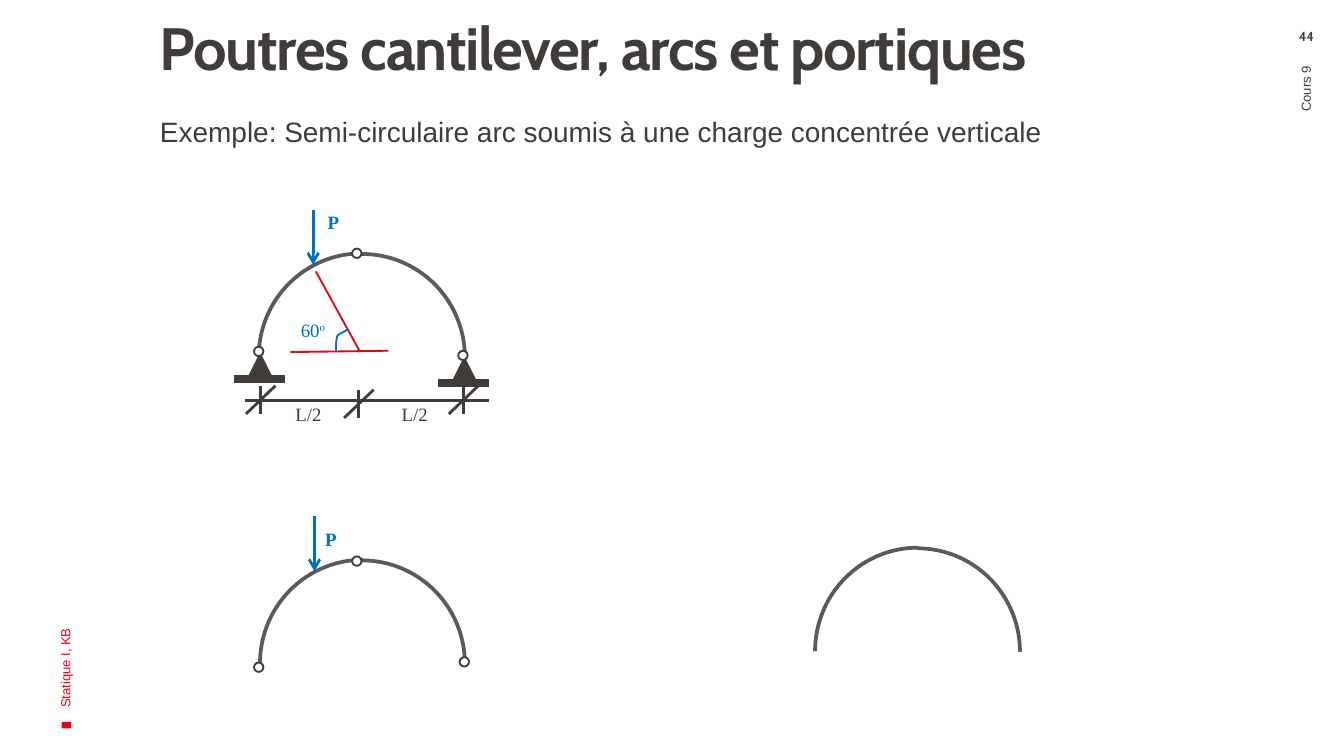
"""Build the slide on a semicircular three-hinged arch under a vertical point load."""
from dataclasses import dataclass

import pptx
import pptx.dml.color
import pptx.enum.shapes
import pptx.enum.text
import pptx.oxml
import pptx.oxml.ns
import pptx.util

Inches = pptx.util.Inches
Pt = pptx.util.Pt
RGBColor = pptx.dml.color.RGBColor
Shape = pptx.enum.shapes.MSO_SHAPE
Align = pptx.enum.text.PP_ALIGN
Anchor = pptx.enum.text.MSO_ANCHOR
qn = pptx.oxml.ns.qn

DARK = RGBColor(0x41, 0x3C, 0x3A)
ARCH = RGBColor(0x60, 0x58, 0x55)
RED = RGBColor(0xE3, 0x06, 0x13)
BLUE = RGBColor(0x00, 0x70, 0xC0)
WHITE = RGBColor(0xFF, 0xFF, 0xFF)
HINGE = 0.07
SUPPORT = 0.19
SERIF = "Times New Roman"


@dataclass(frozen=True)
class Label:
    text: str
    left: float
    top: float
    width: float
    height: float
    size: float
    font: str = "Arial"
    color: RGBColor = DARK
    bold: bool = False
    align: Align = Align.LEFT
    anchor: Anchor = Anchor.TOP
    rotation: int = 0
    insets: tuple[float, float, float, float] = (0.1, 0.05, 0.1, 0.05)
    line_spacing: float = 1.0
    tracking: int = 0
    wrap: bool = True
    superscript: str = ""


@dataclass(frozen=True)
class Line:
    start: tuple[float, float]
    end: tuple[float, float]
    color: RGBColor = DARK
    width: float = 1.5
    arrow: bool = False


def draw_label(page, label: Label) -> None:
    """Add a text box for a label."""
    box = page.shapes.add_textbox(*map(Inches, (label.left, label.top, label.width, label.height)))
    box.rotation = label.rotation
    frame = box.text_frame
    frame.word_wrap = label.wrap
    if not label.wrap:
        frame.auto_size = pptx.enum.text.MSO_AUTO_SIZE.SHAPE_TO_FIT_TEXT
    frame.vertical_anchor = label.anchor
    frame.margin_left, frame.margin_top, frame.margin_right, frame.margin_bottom = map(Inches, label.insets)
    para = frame.paragraphs[0]
    para.alignment = label.align
    para.line_spacing = label.line_spacing
    para.font.name = label.font
    para.font.size = Pt(label.size)
    para.font.bold = label.bold
    para.font.color.rgb = label.color
    if label.tracking:
        para._p.pPr.find(qn("a:defRPr")).set("spc", str(label.tracking))
    para.add_run().text = label.text
    if label.superscript:
        span = para.add_run()
        span.text = label.superscript
        span._r.get_or_add_rPr().set("baseline", "30000")


def draw_line(page, line: Line) -> None:
    """Add a straight line, with an arrowhead if asked."""
    connector = page.shapes.add_connector(
        pptx.enum.shapes.MSO_CONNECTOR.STRAIGHT, *map(Inches, (*line.start, *line.end)))
    connector.line.color.rgb = line.color
    connector.line.width = Pt(line.width)
    if line.arrow:
        tail = pptx.oxml.parse_xml(f'<a:tailEnd {pptx.oxml.ns.nsdecls("a")} type="arrow"/>')
        connector.line._get_or_add_ln().append(tail)
    connector._element.spPr.append(pptx.oxml.parse_xml(f'<a:effectLst {pptx.oxml.ns.nsdecls("a")}/>'))


def style_shape(shape, fill: RGBColor | None, line: RGBColor | None, width: float = 1) -> None:
    """Set the fill and outline of a shape."""
    shape.shadow.inherit = False
    if fill is None:
        shape.fill.background()
    else:
        shape.fill.solid()
        shape.fill.fore_color.rgb = fill
    if line is None:
        shape.line.fill.background()
    else:
        shape.line.color.rgb = line
        shape.line.width = Pt(width)


def draw_arch(page, left: float, top: float, shift: float = 0) -> None:
    """Add a semicircle made of two quarter arcs, the left one moved out by the shift."""
    for x, width, height, rotation in ((left, 1.53, 1.54, 0), (left - shift, 1.54, 1.53, 270)):
        arc = page.shapes.add_shape(Shape.ARC, *map(Inches, (x, top, width, height)))
        arc.rotation = rotation
        style_shape(arc, None, ARCH, 2)


def draw_hinge(page, left: float, top: float) -> None:
    """Add a hinge circle."""
    hinge = page.shapes.add_shape(Shape.OVAL, *map(Inches, (left, top, HINGE, HINGE)))
    style_shape(hinge, WHITE, DARK)


def draw_support(page, left: float, top: float) -> None:
    """Add a pinned support whose hinge starts at the given corner."""
    triangle = page.shapes.add_shape(
        Shape.ISOSCELES_TRIANGLE, *map(Inches, (left - 0.05, top + 0.04, SUPPORT, SUPPORT)))
    style_shape(triangle, DARK, None)
    draw_line(page, Line((left - 0.15, top + 0.24), (left + 0.23, top + 0.24), width=4))
    draw_hinge(page, left, top)


def draw_tick(page, x: float, top: float) -> None:
    """Add a dimension mark: an upright stroke and a slanted one."""
    draw_line(page, Line((x, top), (x, top + 0.21)))
    draw_line(page, Line((x - 0.11, top + 0.21), (x + 0.11, top)))


def draw_load(page, x: float, top: float, label_left: float, label_top: float) -> None:
    """Add the load P with its arrow."""
    draw_label(page, Label("P", label_left, label_top, 0.29, 0.27, 10.1, SERIF, BLUE, True, wrap=False))
    draw_line(page, Line((x, top), (x, top + 0.41), BLUE, arrow=True))


def curve_points(corners: list[tuple[float, float]], steps: int = 8) -> list[tuple[int, int]]:
    """Return points along a cubic curve, without its start."""
    points = []
    for step in range(1, steps + 1):
        t = step / steps
        weights = ((1 - t) ** 3, 3 * t * (1 - t) ** 2, 3 * t * t * (1 - t), t ** 3)
        points.append(tuple(Inches(sum(w * c[axis] for w, c in zip(weights, corners))) for axis in (0, 1)))
    return points


def draw_angle(page) -> None:
    """Add the mark of the 60 degree angle."""
    start, middle, end = (2.5, 2.61), (2.51, 2.5), (2.59, 2.45)
    builder = page.shapes.build_freeform(Inches(start[0]), Inches(start[1]))
    points = curve_points([start, (2.5, 2.57), (2.5, 2.53), middle])
    points += curve_points([middle, (2.53, 2.48), (2.56, 2.47), end])
    builder.add_line_segments(points, close=False)
    style_shape(builder.convert_to_shape(), None, BLUE)
    draw_label(page, Label("60", 2.14, 2.32, 0.39, 0.27, 10.1, SERIF, BLUE, wrap=False, superscript="o"))


PAGE_LABELS = (
    Label("Poutres cantilever, arcs et portiques", 0.99, 0.14, 7.67, 1.17, 32, "Cabin", bold=True,
          insets=(0.2, 0, 0.08, 0.05), line_spacing=0.9, tracking=-70),
    Label("Exemple: Semi-circulaire arc soumis à une charge concentrée verticale", 0.99, 0.83, 8.45, 3.7, 15,
          insets=(0.2, 0.05, 0.1, 0.05), line_spacing=0.9),
    Label("Statique I, KB", -1.34, 3.04, 3.65, 1, 7, color=RED, anchor=Anchor.MIDDLE, rotation=270),
    Label("44", 9.44, 0.21, 0.56, 0.18, 7, "Cabin", bold=True, align=Align.CENTER, insets=(0.1, 0, 0.1, 0)),
    Label("Cours 9", 7.78, 2.05, 3.87, 0.56, 7, align=Align.RIGHT, anchor=Anchor.MIDDLE, rotation=270),
)


def main() -> None:
    """Draw the page and save the deck."""
    deck = pptx.Presentation()
    deck.slide_width = Inches(10)
    deck.slide_height = deck.slide_width * 9 // 16
    page = deck.slides.add_slide(deck.slide_layouts[6])
    marker = page.shapes.add_shape(Shape.RECTANGLE, *map(Inches, (0.47, 5.36, 0.05, 0.07)))
    marker.rotation = 270
    style_shape(marker, RED, None)
    for label in PAGE_LABELS:
        draw_label(page, label)
    draw_arch(page, 1.93, 1.89, shift=0.01)
    for x, top in ((1.94, 2.87), (2.67, 2.9), (3.45, 2.87)):
        draw_tick(page, x, top)
    draw_line(page, Line((1.82, 2.98), (3.64, 2.98)))
    for left in (2.1, 2.89):
        draw_label(page, Label("L/2", left, 2.95, 0.4, 0.27, 10.1, SERIF, wrap=False))
    for left, top in ((1.89, 2.58), (3.41, 2.61)):
        draw_support(page, left, top)
    draw_hinge(page, 2.62, 1.85)
    draw_load(page, 2.33, 1.56, 2.34, 1.52)
    for start, end in (((2.35, 2.02), (2.68, 2.62)), ((2.16, 2.62), (2.89, 2.61))):
        draw_line(page, Line(start, end, RED, 1))
    draw_angle(page)
    draw_arch(page, 1.93, 4.17)
    for left, top in ((1.89, 4.93), (3.42, 4.89), (2.62, 4.14)):
        draw_hinge(page, left, top)
    draw_load(page, 2.34, 3.84, 2.32, 3.88)
    draw_arch(page, 6.06, 4.08)
    deck.save("out.pptx")


if __name__ == "__main__":
    main()
